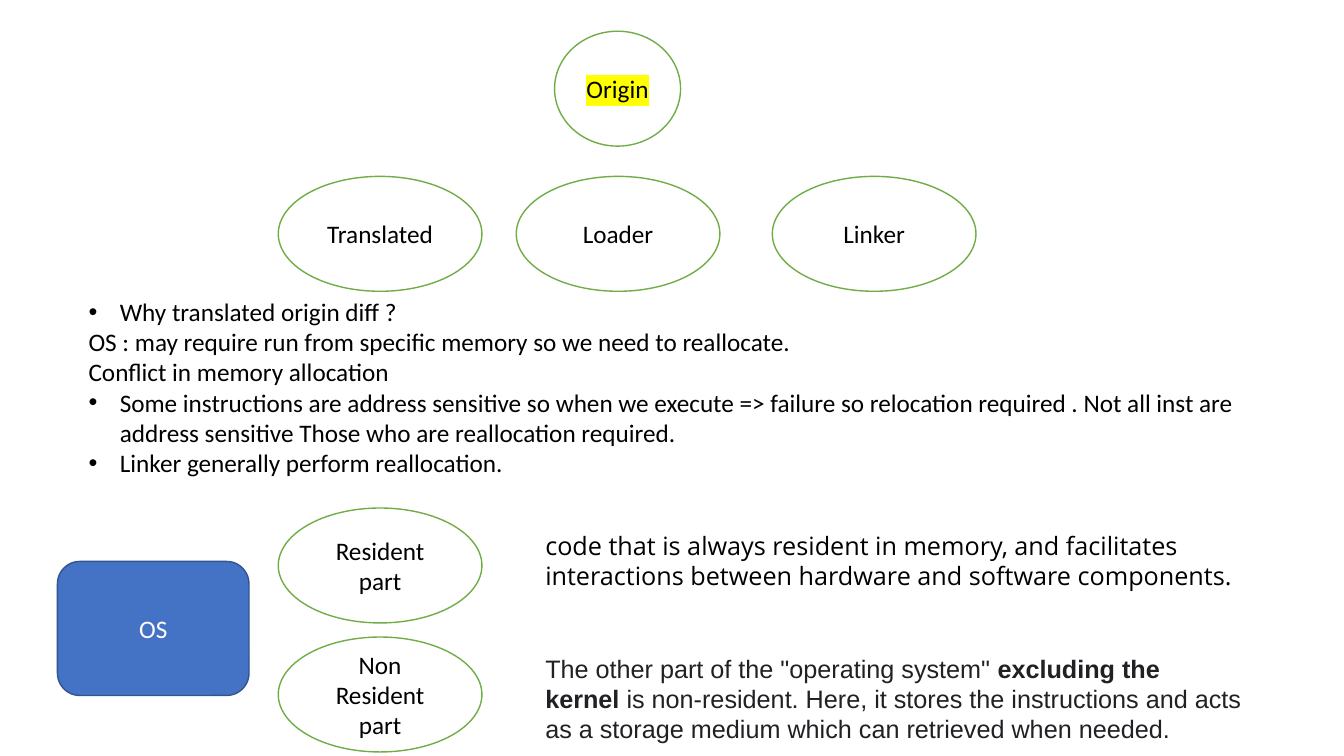
from dataclasses import dataclass
from typing import Optional

from lxml.etree import SubElement
from pptx import Presentation
from pptx.dml.color import RGBColor
from pptx.enum.shapes import MSO_SHAPE
from pptx.enum.text import MSO_ANCHOR, PP_ALIGN
from pptx.oxml.ns import qn
from pptx.util import Inches, Pt

BLACK = RGBColor(0x00, 0x00, 0x00)
WHITE = RGBColor(0xFF, 0xFF, 0xFF)
CHARCOAL = RGBColor(0x20, 0x21, 0x24)
GREEN = RGBColor(0x70, 0xAD, 0x47)
BLUE = RGBColor(0x44, 0x72, 0xC4)
DARK_BLUE = RGBColor(0x32, 0x54, 0x91)
YELLOW = RGBColor(0xFF, 0xFF, 0x00)

BUBBLE_WIDTH, BUBBLE_HEIGHT = 2.02, 1.14
PART_LEFT = 2.76
STAGE_TOP = 1.75
BULLET_INDENT = Inches(0.31)


@dataclass(frozen=True)
class Node:
    label: str
    left: float
    top: float
    width: float = BUBBLE_WIDTH
    height: float = BUBBLE_HEIGHT
    outline: MSO_SHAPE = MSO_SHAPE.OVAL
    fill: RGBColor = WHITE
    line: RGBColor = GREEN
    color: RGBColor = BLACK
    highlight: Optional[RGBColor] = None


@dataclass(frozen=True)
class Line:
    runs: tuple[str, ...]
    bullet: bool = False
    bold_run: Optional[int] = None


@dataclass(frozen=True)
class Passage:
    lines: tuple[Line, ...]
    left: float
    top: float
    width: float
    height: float
    font: str = "Calibri"
    color: RGBColor = BLACK


NODES = (
    Node("Origin", 5.5, 0.31, width=1.25, highlight=YELLOW),
    Node("Translated", PART_LEFT, STAGE_TOP),
    Node("Loader", 5.12, STAGE_TOP),
    Node("Linker", 7.66, STAGE_TOP),
    Node("OS", 0.57, 5.57, 1.9, 1.33, MSO_SHAPE.ROUNDED_RECTANGLE,
         BLUE, DARK_BLUE, WHITE),
    Node("Resident part", PART_LEFT, 5.04),
    Node("Non Resident part", PART_LEFT, 6.32),
)

PASSAGES = (
    Passage((
        Line(("Why translated origin diff ?",), bullet=True),
        Line(("OS : may require run from specific memory so we need to reallocate.",)),
        Line(("Conflict in memory allocation",)),
        Line(("Some instructions are address sensitive so when we execute => failure "
              "so relocation required . Not all inst are address sensitive Those who "
              "are reallocation required.",), bullet=True),
        Line(("Linker generally perform reallocation. ",), bullet=True),
    ), 0.78, 2.89, 11.78, 1.92),
    Passage((
        Line(("code that is always resident in memory, and facilitates interactions "
              "between hardware and software components.",)),
    ), 5.31, 5.21, 7.26, 0.71, font="Open Sans"),
    Passage((
        Line(("The other part of the \"operating system\"\u00a0",
              "excluding the kernel",
              "\u00a0is non-resident. Here, it stores the instructions and acts as a "
              "storage medium which can retrieved when needed."), bold_run=1),
    ), 5.31, 6.43, 7.26, 1.01, font="Arial", color=CHARCOAL),
)


def add_text(paragraph, text: str, *, font: str = "Calibri", size: float = 18,
             color: RGBColor = BLACK, bold: bool = False,
             highlight: Optional[RGBColor] = None) -> None:
    run = paragraph.add_run()
    run.text = text
    run.font.size = Pt(size)
    run.font.bold = bold
    run.font.color.rgb = color
    if highlight is not None:
        marker = SubElement(run.font._element, qn("a:highlight"))
        SubElement(marker, qn("a:srgbClr")).set("val", str(highlight))
    run.font.name = font


def add_bullet(paragraph) -> None:
    properties = paragraph._p.get_or_add_pPr()
    properties.set("marL", str(BULLET_INDENT))
    properties.set("indent", str(-BULLET_INDENT))
    SubElement(properties, qn("a:buFont")).set("typeface", "Arial")
    SubElement(properties, qn("a:buChar")).set("char", "•")


def draw_node(slide, node: Node) -> None:
    bubble = slide.shapes.add_shape(
        node.outline, Inches(node.left), Inches(node.top),
        Inches(node.width), Inches(node.height))
    bubble.shadow.inherit = False
    bubble.fill.solid()
    bubble.fill.fore_color.rgb = node.fill
    bubble.line.color.rgb = node.line
    bubble.line.width = Pt(1)
    frame = bubble.text_frame
    frame.word_wrap = True
    frame.vertical_anchor = MSO_ANCHOR.MIDDLE
    label = frame.paragraphs[0]
    label.alignment = PP_ALIGN.CENTER
    add_text(label, node.label, color=node.color, highlight=node.highlight)


def draw_passage(slide, passage: Passage) -> None:
    frame = slide.shapes.add_textbox(
        Inches(passage.left), Inches(passage.top),
        Inches(passage.width), Inches(passage.height)).text_frame
    frame.word_wrap = True
    for number, line in enumerate(passage.lines):
        paragraph = frame.add_paragraph() if number else frame.paragraphs[0]
        if line.bullet:
            add_bullet(paragraph)
        for position, text in enumerate(line.runs):
            add_text(paragraph, text, font=passage.font, color=passage.color,
                     bold=position == line.bold_run)


def main() -> None:
    deck = Presentation()
    deck.slide_width = Inches(13.33)
    deck.slide_height = Inches(7.5)
    slide = deck.slides.add_slide(deck.slide_layouts[6])
    for node in NODES:
        draw_node(slide, node)
    for passage in PASSAGES:
        draw_passage(slide, passage)
    deck.save("out.pptx")


main()
